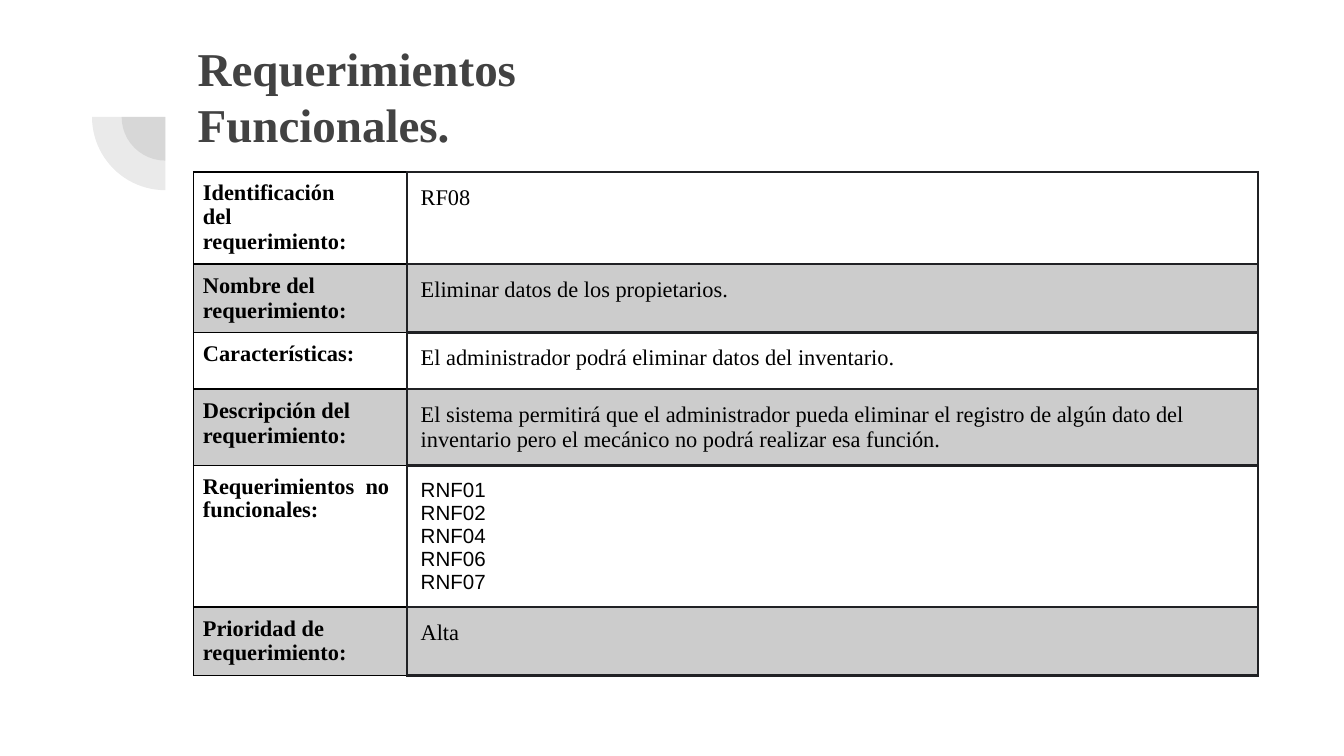
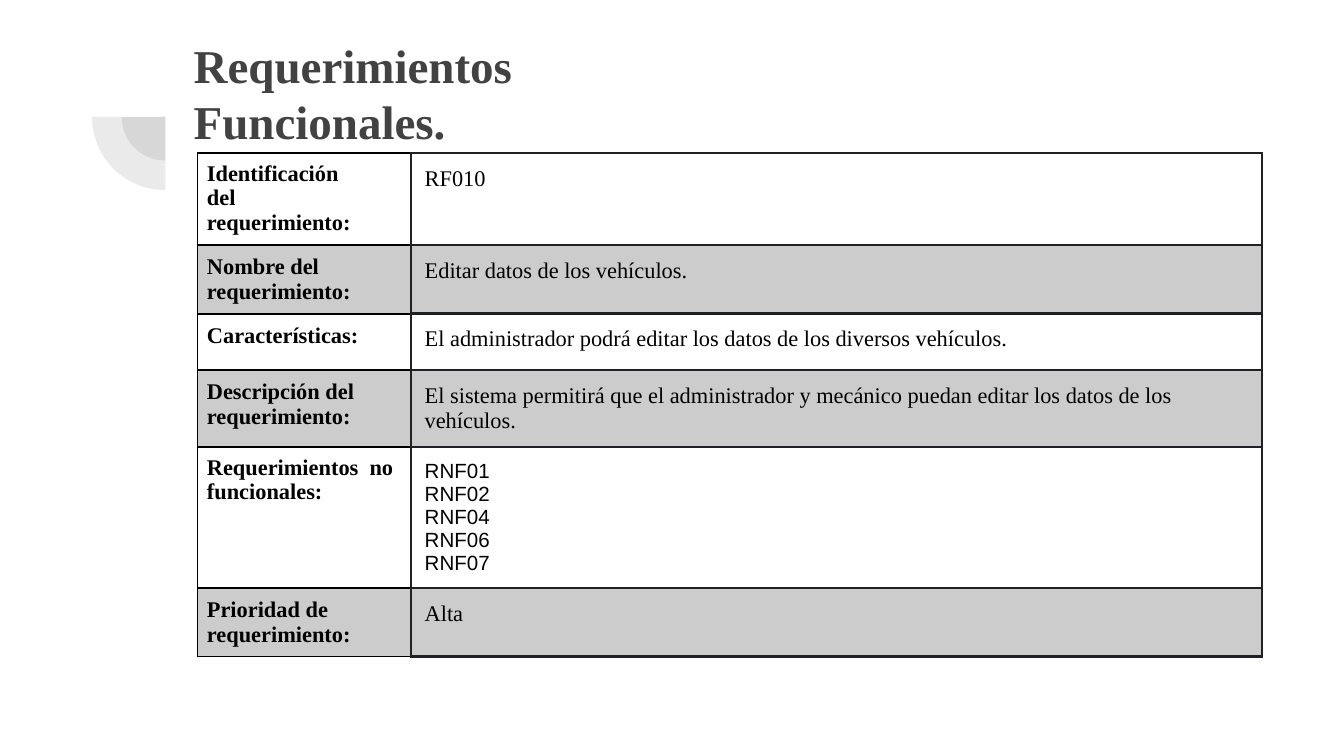
"""Builds two slides of functional requirement sheets."""
from lxml import etree
from pptx import Presentation
from pptx import util as u
from pptx.dml.color import RGBColor
from pptx.enum import shapes, text
from pptx.oxml.ns import qn

COLOURS = {"title": "424242", "label": "000000", "edge": "202124", "band": "CCCCCC"}
SERIF, SANS = "Times New Roman", "Arial"

TITLE = ["Requerimientos", "Funcionales."]
LABELS = [
    ["Identificación\vdel", "requerimiento:"],
    ["Nombre del", "requerimiento:"],
    ["Características:"],
    ["Descripción del requerimiento:"],
    ["Requerimientos  no funcionales:"],
    ["Prioridad de", "requerimiento:"],
]
NON_FUNCTIONAL = ["RNF01", "RNF02", "RNF04", "RNF06", "RNF07"]
NON_FUNCTIONAL_ROW = 4
SHEETS = [
    {
        "title_at": (1.37, 0.19),
        "table_at": (1.44, 1.28),
        "values": [
            ["RF08"],
            ["Eliminar datos de los propietarios."],
            ["El administrador podrá eliminar datos del inventario."],
            ["El sistema permitirá que el administrador pueda eliminar el registro de "
             "algún dato del inventario pero el mecánico no podrá realizar esa función."],
            NON_FUNCTIONAL,
            ["Alta"],
        ],
    },
    {
        "title_at": (1.34, 0.17),
        "table_at": (1.47, 1.14),
        "values": [
            ["RF010"],
            ["Editar datos de los vehículos."],
            ["El administrador podrá editar los datos de los diversos vehículos."],
            ["El sistema permitirá que el administrador y mecánico puedan editar los "
             "datos de los vehículos."],
            NON_FUNCTIONAL,
            ["Alta"],
        ],
    },
]

SLIDE_SIZE = (10, 10 * 9 / 16)
TITLE_SIZE = (7.69, 1.09)
COLUMNS = (1.59, 6.33)
ROW_HEIGHT = 0.42
TIGHT_CELLS = {(0, 0), (2, 1), (4, 0)}
ARC_CENTRE = (1.23, 0.87)
ARC_DIAMETERS = (0.65, 1.09)
MARGINS = ("margin_left", "margin_top", "margin_right", "margin_bottom")
LABEL_EDGES = {"L": ("label", 1), "R": ("edge", 1.5), "T": ("label", 1), "B": ("label", 1)}
VALUE_EDGES = dict.fromkeys("LRTB", ("edge", 1.5))


def rgb(name):
    """Return the named colour."""
    return RGBColor.from_string(COLOURS[name])


def set_all(target, values):
    """Set each attribute in values on target."""
    for name, value in values.items():
        setattr(target, name, value)


def write(frame, lines, font, colour, first_spacing=1.0, gap=0):
    """Write one formatted paragraph per line."""
    for index, line in enumerate(lines):
        para = frame.paragraphs[0] if index == 0 else frame.add_paragraph()
        para.text = line
        set_all(para, {"alignment": text.PP_ALIGN.LEFT,
                       "line_spacing": 1.0 if index else first_spacing,
                       "space_before": u.Pt(gap if index else 0)})
        for span in para.runs:
            set_all(span.font, font)
            span.font.color.rgb = rgb(colour)


def add_arcs(slide, layout):
    """Draw the nested quarter circles and place them behind the layout."""
    group = slide.shapes.add_group_shape()
    for diameter in ARC_DIAMETERS:
        left, top = (centre - diameter / 2 for centre in ARC_CENTRE)
        arc = group.shapes.add_shape(
            shapes.MSO_SHAPE.PIE, *map(u.Inches, (left, top, diameter, diameter)))
        arc.rotation = 270
        arc.adjustments[0], arc.adjustments[1] = 108, 162
        arc.shadow.inherit = False
        arc.line.fill.background()
        arc.fill.solid()
        arc.fill.fore_color.rgb = rgb("title")
        colour = arc.element.spPr.find(qn("a:solidFill"))[0]
        etree.SubElement(colour, qn("a:alpha"), val="11000")
    layout.shapes.element.insert(2, group.element)


def set_edges(cell, edges):
    """Give the cell its four border lines."""
    properties = cell._tc.get_or_add_tcPr()
    for index, (side, (colour, width)) in enumerate(edges.items()):
        line = etree.Element(qn(f"a:ln{side}"), w=str(u.Pt(width)))
        fill = etree.SubElement(line, qn("a:solidFill"))
        etree.SubElement(fill, qn("a:srgbClr"), val=COLOURS[colour])
        properties.insert(index, line)


def add_title(slide, at):
    """Place and fill the title placeholder."""
    title = slide.shapes.title
    set_all(title, dict(zip(("left", "top", "width", "height"),
                            map(u.Inches, at + TITLE_SIZE))))
    frame = title.text_frame
    set_all(frame, dict.fromkeys(MARGINS, u.Inches(0.1)))
    set_all(frame, {"word_wrap": True, "vertical_anchor": text.MSO_ANCHOR.TOP,
                    "auto_size": text.MSO_AUTO_SIZE.NONE})
    write(frame, TITLE, {"name": SERIF, "size": u.Pt(25.2), "bold": True}, "title")


def add_sheet(slide, at, values):
    """Add the table of labels and values."""
    size = (sum(COLUMNS), ROW_HEIGHT * len(LABELS))
    table = slide.shapes.add_table(
        len(LABELS), len(COLUMNS), *map(u.Inches, at + size)).table
    set_all(table, {"first_row": False, "horz_banding": False})
    for column, width in zip(table.columns, COLUMNS):
        column.width = u.Inches(width)
    for row, pair in enumerate(zip(LABELS, values)):
        table.rows[row].height = u.Inches(ROW_HEIGHT)
        for column, lines in enumerate(pair):
            cell = table.cell(row, column)
            set_all(cell, dict.fromkeys(MARGINS, u.Inches((0.07, 0.1)[column])))
            if row % 2:
                cell.fill.solid()
                cell.fill.fore_color.rgb = rgb("band")
            else:
                cell.fill.background()
            set_edges(cell, (LABEL_EDGES, VALUE_EDGES)[column])
            sans = column == 1 and row == NON_FUNCTIONAL_ROW
            font = {"name": SANS if sans else SERIF,
                    "size": u.Pt(11 if sans else 12), "bold": column == 0}
            spacing = 0.96 if (row, column) in TIGHT_CELLS else 1.0
            gap = 0.3 if row == 0 else 0
            write(cell.text_frame, lines, font, "label", spacing, gap)


def main():
    """Build and save the deck."""
    deck = Presentation()
    deck.slide_width, deck.slide_height = map(u.Inches, SLIDE_SIZE)
    layout = deck.slide_layouts.get_by_name("Title Only")
    for index, sheet in enumerate(SHEETS):
        slide = deck.slides.add_slide(layout)
        if index == 0:
            add_arcs(slide, layout)
        add_title(slide, sheet["title_at"])
        add_sheet(slide, sheet["table_at"], sheet["values"])
    deck.save("out.pptx")


if __name__ == "__main__":
    main()
